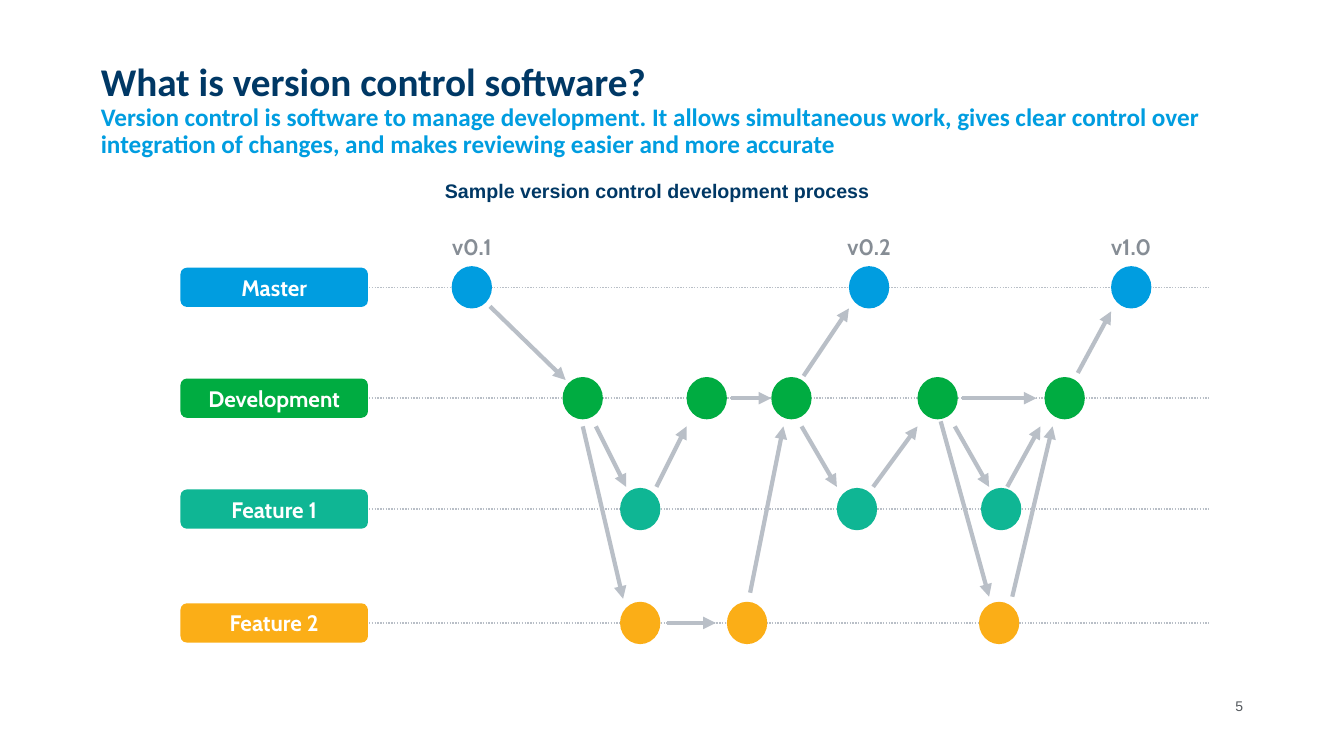
from lxml import etree
from pptx import Presentation
from pptx.dml.color import RGBColor
from pptx.enum.dml import MSO_LINE
from pptx.enum.shapes import MSO_CONNECTOR, MSO_SHAPE
from pptx.enum.text import MSO_ANCHOR, MSO_AUTO_SIZE, PP_ALIGN
from pptx.oxml.ns import qn
from pptx.util import Inches, Pt

STRAIGHT = MSO_CONNECTOR.STRAIGHT
OVAL, ROUNDED = MSO_SHAPE.OVAL, MSO_SHAPE.ROUNDED_RECTANGLE
CENTER, RIGHT = PP_ALIGN.CENTER, PP_ALIGN.RIGHT
TOP, MIDDLE = MSO_ANCHOR.TOP, MSO_ANCHOR.MIDDLE

COLORS = {
    "navy": "003865", "blue": "009DE0", "green": "00AC41", "teal": "0FB694",
    "amber": "FBAE17", "line": "B9BFC7", "label": "868D95",
    "number": "52575C", "white": "FFFFFF",
}

LABEL_LEFT, LABEL_WIDTH, LABEL_HEIGHT = 1.79, 1.86, 0.39
LANE_START, LANE_END = 3.66, 11.99
COMMIT_WIDTH, COMMIT_HEIGHT = 0.4, 0.42
VERSION_TOP, VERSION_WIDTH, VERSION_HEIGHT = 2.23, 0.76, 0.43

# name, colour, centre height, commit centres
LANES = [
    ("Master", "blue", 2.85, [4.68, 8.62, 11.22]),
    ("Development", "green", 3.95, [5.78, 7.01, 7.85, 9.3, 10.56]),
    ("Feature 1", "teal", 5.05, [6.35, 8.5, 9.93]),
    ("Feature 2", "amber", 6.18, [6.35, 7.41, 9.91]),
]
VERSIONS = ["v0.1", "v0.2", "v1.0"]

# start x, start y, end x, end y
ARROWS = [
    (4.86, 3.04, 5.61, 3.77), (5.91, 4.23, 6.21, 4.83),
    (5.78, 4.23, 6.18, 5.94), (7.25, 3.95, 7.65, 3.95),
    (6.51, 4.83, 6.81, 4.23), (6.62, 6.18, 7.1, 6.18),
    (7.44, 5.88, 7.77, 4.23), (9.54, 3.95, 10.28, 3.95),
    (9.47, 4.23, 9.81, 4.83), (7.95, 4.23, 8.3, 4.83),
    (8.66, 4.83, 9.1, 4.23), (7.97, 3.73, 8.42, 3.06),
    (9.33, 4.18, 9.81, 5.92), (10.04, 5.92, 10.44, 4.23),
    (9.99, 4.83, 10.32, 4.23), (10.69, 3.7, 11.02, 3.09),
]


def write_text(shape, text, size, font, color, bold=True, align=CENTER,
               anchor=MIDDLE, inset=0.08):
    frame = shape.text_frame
    frame.word_wrap = True
    frame.vertical_anchor = anchor
    frame.margin_left = frame.margin_right = Inches(inset)
    frame.margin_top = frame.margin_bottom = Inches(inset)
    paragraph = frame.paragraphs[0]
    paragraph.text = text
    paragraph.alignment = align
    paragraph.font.size = Pt(size)
    paragraph.font.name = font
    paragraph.font.bold = bold
    paragraph.font.color.rgb = RGBColor.from_string(COLORS[color])
    return paragraph


def add_line(start_x, start_y, end_x, end_y, width):
    connector = slide.shapes.add_connector(
        STRAIGHT, Inches(start_x), Inches(start_y), Inches(end_x), Inches(end_y))
    connector.line.color.rgb = RGBColor.from_string(COLORS["line"])
    connector.line.width = Pt(width)
    etree.SubElement(connector._element.spPr, qn("a:effectLst"))
    return connector


presentation = Presentation()
presentation.slide_width = Inches(13.33)
presentation.slide_height = Inches(7.5)
slide = presentation.slides.add_slide(presentation.slide_layouts[5])

# Title and subtitle
title = slide.shapes.title
title.left, title.top = Inches(1), Inches(0.62)
title.width, title.height = Inches(11.33), Inches(1.04)
paragraph = write_text(title, "", 28, "Calibri", "navy",
                       align=PP_ALIGN.LEFT, anchor=TOP, inset=0)
title.text_frame.auto_size = MSO_AUTO_SIZE.NONE
paragraph.line_spacing = 0.9
paragraph.add_run().text = "What is version control software?"
paragraph.add_line_break()
subtitle = paragraph.add_run()
subtitle.text = (
    "Version control is software to manage development. It allows simultaneous "
    "work, gives clear control over integration of changes, and makes reviewing "
    "easier and more accurate")
subtitle.font.size = Pt(18)
subtitle.font.color.rgb = RGBColor.from_string(COLORS["blue"])

# Diagram heading
heading = slide.shapes.add_textbox(
    Inches(4.28), Inches(1.73), Inches(4.48), Inches(0.33))
paragraph = write_text(heading, "Sample version control development process",
                       14, "Arial", "navy")
paragraph.space_before = paragraph.space_after = Pt(2)

# Branch lanes with their labels and commits
for name, color, center_y, commits in LANES:
    lane = add_line(LANE_START, center_y, LANE_END, center_y, 1)
    lane.line.dash_style = MSO_LINE.ROUND_DOT
    boxes = [(ROUNDED, LABEL_LEFT, LABEL_WIDTH, LABEL_HEIGHT)]
    boxes += [(OVAL, center_x - COMMIT_WIDTH / 2, COMMIT_WIDTH, COMMIT_HEIGHT)
              for center_x in commits]
    for kind, left, width, height in boxes:
        shape = slide.shapes.add_shape(
            kind, Inches(left), Inches(center_y - height / 2),
            Inches(width), Inches(height))
        shape.shadow.inherit = False
        shape.fill.solid()
        shape.fill.fore_color.rgb = RGBColor.from_string(COLORS[color])
        shape.line.fill.background()
        if kind == ROUNDED:
            write_text(shape, name, 16, "Cabin", "white")

# Arrows between commits
for ends in ARROWS:
    arrow = add_line(*ends, 3)
    etree.SubElement(arrow.line._get_or_add_ln(), qn("a:tailEnd"), type="triangle")

# Version labels above the master commits
for version, center_x in zip(VERSIONS, LANES[0][3]):
    label = slide.shapes.add_textbox(
        Inches(center_x - VERSION_WIDTH / 2), Inches(VERSION_TOP),
        Inches(VERSION_WIDTH), Inches(VERSION_HEIGHT))
    write_text(label, version, 16, "Cabin", "label", anchor=TOP)

# Slide number
number = slide.shapes.add_textbox(
    Inches(11.58), Inches(6.92), Inches(0.75), Inches(0.3))
write_text(number, "5", 10, "Arial", "number", bold=False, align=RIGHT,
           anchor=TOP, inset=0)

presentation.save("out.pptx")
